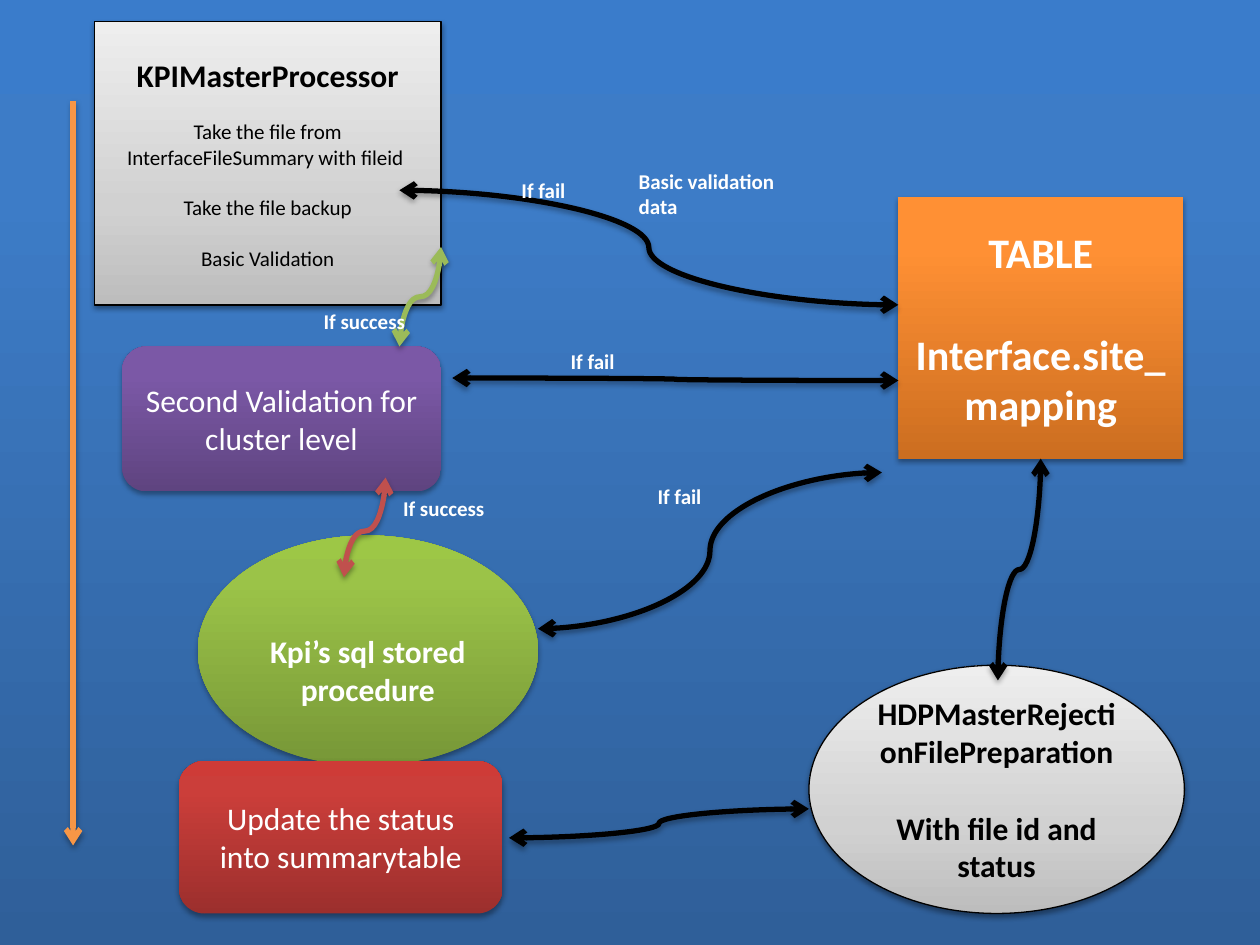
"""Build the KPI file processing flow slide."""
from lxml import etree
from pptx import Presentation
from pptx.dml.color import RGBColor
from pptx.enum.shapes import MSO_CONNECTOR, MSO_SHAPE
from pptx.enum.text import MSO_ANCHOR, MSO_AUTO_SIZE, PP_ALIGN
from pptx.oxml import parse_xml
from pptx.oxml.ns import nsdecls, qn
from pptx.util import Inches, Pt

RECT, ROUND, OVAL = MSO_SHAPE.RECTANGLE, MSO_SHAPE.ROUNDED_RECTANGLE, MSO_SHAPE.OVAL
CURVE, STRAIGHT = MSO_CONNECTOR.CURVE, MSO_CONNECTOR.STRAIGHT
MIDDLE, CENTER, LEFT = MSO_ANCHOR.MIDDLE, PP_ALIGN.CENTER, PP_ALIGN.LEFT
GROW = MSO_AUTO_SIZE.SHAPE_TO_FIT_TEXT

THEME = {
    "font": "Calibri", "small": 12, "body": 18, "large": 24,
    "white": "FFFFFF", "black": "000000",
    "orange": "F79646", "lime": "9BBB59", "red": "C0504D",
    "fills": {
        "sky": [(0, "2F5F99"), (80, "3D7CC7"), (100, "3A7CCB")],
        "amber": [(0, "CC6E20"), (80, "FF9034"), (100, "FF9136")],
        "gray": [(0, "BDBDBD"), (35, "D1D1D1"), (100, "EEEEEE")],
        "green": [(0, "779737"), (80, "9BC348"), (100, "9DC746")],
        "brick": [(0, "9C2F2D"), (80, "CB3E3A"), (100, "CE3B37")],
        "plum": [(0, "5F4480"), (80, "7B58A6"), (100, "7C57A8")],
    },
    "shade": (35, 3.1, 1.8), "soft": (38, 3.1, 1.6),
}

# kind, place, fill, extra top inset, paragraphs of (text, size, bold, gap before)
NODES = [
    (RECT, (0, 0, 10, 7.5), "sky", 0, []),
    (RECT, (7.13, 1.56, 2.26, 2.08), "amber", 0, [
        ("TABLE", "large", True, 0),
        ("Interface.site_mapping", "large", True, 29.3)]),
    (RECT, (0.75, 0.17, 2.75, 2.25), "gray", 0, [
        ("KPIMasterProcessor", "body", True, 0),
        ("Take the file from", "small", False, 14.6),
        ("InterfaceFileSummary with fileid ", "small", False, 0),
        ("Take the file backup", "small", False, 14.6),
        ("Basic Validation", "small", False, 14.6)]),
    (OVAL, (1.57, 4.25, 2.7, 1.83), "green", 0.31, [
        ("Kpi’s sql stored procedure", "body", True, 0)]),
    (ROUND, (1.42, 6.04, 2.57, 1.21), "brick", 0, [
        ("Update the status into summarytable", "body", False, 0)]),
    (OVAL, (6.42, 5.28, 2.98, 1.97), "gray", 0, [
        ("HDPMasterRejectionFilePreparation", "body", True, 0),
        ("With file id and status", "body", True, 22)]),
    (ROUND, (0.97, 2.75, 2.53, 1.15), "plum", 0, [
        ("Second Validation for cluster level", "body", False, 0)]),
]

# start, end, colour, upright bend (percent) or None
LINKS = [
    ((3.17, 1.51), (7.13, 2.42), "black", None),
    ((3.59, 3), (7.13, 3.02), "black", None),
    ((7, 3.75), (4.27, 4.99), "black", None),
    ((8.26, 3.64), (7.92, 5.4), "black", 50),
    ((3.5, 1.96), (3.17, 2.75), "lime", 50),
    ((3.06, 3.79), (2.73, 4.58), "red", 53.8),
    ((6.42, 6.42), (4.04, 6.65), "black", None),
]
TREND = ((0.58, 0.8), (0.58, 6.71), "orange", None)

LABELS = [
    ("Basic validation data", 4.97, 1.29, 1.59, 0.5),
    ("If fail", 4.04, 1.36, 0.88, 0.3),
    ("If fail", 4.43, 2.72, 0.88, 0.3),
    ("If fail", 5.12, 3.79, 0.88, 0.3),
    ("If success", 2.47, 2.4, 0.88, 0.3),
    ("If success", 3.1, 3.88, 0.88, 0.3),
]


def rgb(name):
    return RGBColor.from_string(THEME[name])


def assign(item, values):
    for key, value in values.items():
        setattr(item, key, value)


def shadow(props, style):
    alpha, blur, dist = THEME[style]
    for old in props.findall(qn("a:effectLst")):
        props.remove(old)
    props.append(parse_xml(
        f'<a:effectLst {nsdecls("a")}><a:outerShdw blurRad="{Pt(blur)}" '
        f'dist="{Pt(dist)}" dir="5400000" rotWithShape="0">'
        f'<a:srgbClr val="{THEME["black"]}"><a:alpha val="{alpha * 1000}"/>'
        '</a:srgbClr></a:outerShdw></a:effectLst>'))


def shade(shape, name):
    stops = "".join(
        f'<a:gs pos="{pos * 1000}"><a:srgbClr val="{tone}"/></a:gs>'
        for pos, tone in THEME["fills"][name])
    shape.fill.background()
    blank = shape._element.spPr.find(qn("a:noFill"))
    blank.getparent().replace(blank, parse_xml(
        f'<a:gradFill {nsdecls("a")} rotWithShape="1"><a:gsLst>{stops}</a:gsLst>'
        '<a:lin ang="16200000" scaled="0"/></a:gradFill>'))


def write(frame, paras, tone, align):
    for num, (text, size, bold, gap) in enumerate(paras):
        para = frame.add_paragraph() if num else frame.paragraphs[0]
        assign(para, {"alignment": align, "space_before": Pt(gap)})
        run = para.add_run()
        run.text = text
        assign(run.font, {"name": THEME["font"], "size": Pt(THEME[size]), "bold": bold})
        run.font.color.rgb = rgb(tone)


def node(shapes, kind, place, fill, inset, paras):
    shape = shapes.add_shape(kind, *map(Inches, place))
    shade(shape, fill)
    gray = fill == "gray"
    if gray:
        shape.line.color.rgb = rgb("black")
        shape.line.width = Pt(0.75)
    else:
        shape.line.fill.background()
    shadow(shape._element.spPr, "soft" if gray else "shade")
    assign(shape.text_frame, {"word_wrap": True, "vertical_anchor": MIDDLE,
                              "margin_top": Inches(0.05 + inset)})
    write(shape.text_frame, paras, "black" if gray else "white", CENTER)


def link(shapes, kind, ends, start, end, tone, bend):
    (x1, y1), (x2, y2) = start, end
    if bend:
        mx, my = (x1 + x2) / 2, (y1 + y2) / 2
        dx, dy = (y2 - y1) / 2, (x1 - x2) / 2
        x1, y1, x2, y2 = mx - dx, my - dy, mx + dx, my + dy
    line = shapes.add_connector(kind, *map(Inches, (x1, y1, x2, y2)))
    props = line._element.spPr
    if bend:
        props.find(qn("a:xfrm")).set("rot", "5400000")
        etree.SubElement(props.find(qn("a:prstGeom")).find(qn("a:avLst")), qn("a:gd"),
                         name="adj1", fmla=f"val {round(bend * 1000)}")
    line.line.color.rgb = rgb(tone)
    line.line.width = Pt(3)
    for tip in ends:
        etree.SubElement(props.find(qn("a:ln")), qn(tip), type="arrow")
    shadow(props, "shade")


def label(shapes, text, *place):
    box = shapes.add_textbox(*map(Inches, place))
    assign(box.text_frame, {"word_wrap": True, "auto_size": GROW})
    write(box.text_frame, [(text, "small", True, 0)], "white", LEFT)


deck = Presentation()
assign(deck, {"slide_width": Inches(10), "slide_height": Inches(7.5)})
shapes = deck.slides.add_slide(deck.slide_layouts[6]).shapes
for item in NODES:
    node(shapes, *item)
for item in LINKS:
    link(shapes, CURVE, ("a:headEnd", "a:tailEnd"), *item)
link(shapes, STRAIGHT, ("a:tailEnd",), *TREND)
for item in LABELS:
    label(shapes, *item)
deck.save("out.pptx")
